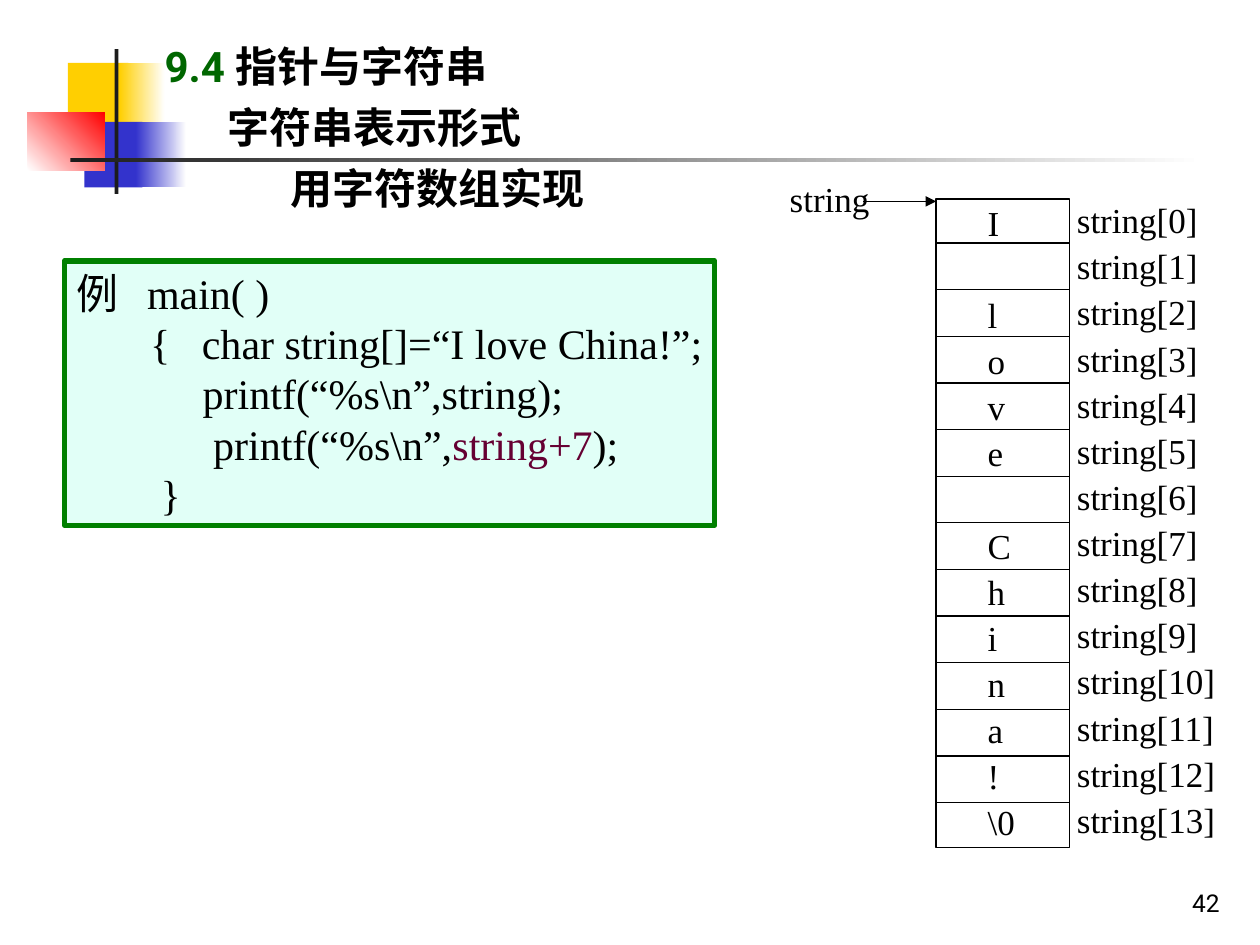
from lxml.etree import SubElement
from pptx import Presentation
from pptx.dml.color import RGBColor
from pptx.enum.shapes import MSO_CONNECTOR, MSO_SHAPE
from pptx.enum.text import MSO_ANCHOR, PP_ALIGN
from pptx.oxml.ns import qn
from pptx.util import Cm, Pt

BLACK = RGBColor(0x00, 0x00, 0x00)
WHITE = RGBColor(0xFF, 0xFF, 0xFF)
YELLOW = RGBColor(0xFF, 0xCF, 0x01)
BLUE = RGBColor(0x33, 0x33, 0xCC)
RED = RGBColor(0xFF, 0x00, 0x00)
CHARCOAL = RGBColor(0x1C, 0x1C, 0x1C)
DARK_GREEN = RGBColor(0x00, 0x66, 0x00)
GREEN = RGBColor(0x00, 0x80, 0x00)
MINT = RGBColor(0xE1, 0xFF, 0xF7)
MAROON = RGBColor(0x66, 0x00, 0x33)
SERIF, SANS = "Times New Roman", "Roboto"

prs = Presentation()
prs.slide_width, prs.slide_height = Cm(25.4), Cm(19.05)
slide = prs.slides.add_slide(prs.slide_layouts[6])
shapes = slide.shapes


def add_label(text, left, top, width, height=1.12, size=20, font=SERIF):
    box = shapes.add_textbox(Cm(left), Cm(top), Cm(width), Cm(height))
    box.text_frame.word_wrap = True
    paragraph = box.text_frame.paragraphs[0]
    paragraph.text = text
    paragraph.font.size = Pt(size)
    paragraph.font.name = font
    paragraph.font.color.rgb = BLACK
    return box


def add_rule(x1, y1, x2, y2):
    rule = shapes.add_connector(MSO_CONNECTOR.STRAIGHT, Cm(x1), Cm(y1), Cm(x2), Cm(y2))
    rule.line.color.rgb = BLACK
    rule.line.width = Pt(0.75)
    properties = rule._element.spPr
    SubElement(properties, qn("a:effectLst"))
    return rule


# Corner ornament: left, top, width, height, start colour, end colour, angle
ornament = [
    (1.37, 1.27, 1.22, 1.32, YELLOW, None, 0),
    (2.41, 1.27, 0.91, 1.32, YELLOW, WHITE, 0),
    (1.70, 2.46, 1.17, 1.32, BLUE, None, 0),
    (2.74, 2.46, 1.02, 1.32, BLUE, WHITE, 0),
    (0.56, 2.26, 1.55, 1.17, WHITE, RED, 45),
    (2.31, 0.99, 0.08, 2.92, CHARCOAL, None, 0),
    (1.42, 3.18, 22.86, 0.08, CHARCOAL, WHITE, 0),
]
for left, top, width, height, start, end, angle in ornament:
    block = shapes.add_shape(MSO_SHAPE.RECTANGLE, Cm(left), Cm(top), Cm(width), Cm(height))
    block.shadow.inherit = False
    block.line.fill.background()
    if end is None:
        block.fill.solid()
        block.fill.fore_color.rgb = start
    else:
        block.fill.gradient()
        block.fill.gradient_angle = angle
        for stop, color in zip(block.fill.gradient_stops, (start, end)):
            stop.color.rgb = color

# Headings, each level further in
heading = shapes.add_textbox(Cm(3.07), Cm(0.69), Cm(19.46), Cm(4.19)).text_frame
heading.word_wrap = True
heading_levels = [
    [("9.4 ", DARK_GREEN), ("指针与字符串", BLACK)],
    [("字符串表示形式", BLACK)],
    [("用字符数组实现", BLACK)],
]
for level, parts in enumerate(heading_levels):
    paragraph = heading.paragraphs[0] if level == 0 else heading.add_paragraph()
    paragraph.level = level
    paragraph._p.get_or_add_pPr().set("marL", str(Cm(1.27 * level)))
    if level:
        paragraph.space_before = Pt(6)
    paragraph.font.name = SANS
    paragraph.font.size = Pt(24)
    paragraph.font.bold = True
    for text, color in parts:
        run = paragraph.add_run()
        run.text = text
        run.font.color.rgb = color

# Program listing
listing = shapes.add_shape(MSO_SHAPE.RECTANGLE, Cm(1.3), Cm(5.26), Cm(13.11), Cm(5.33))
listing.shadow.inherit = False
listing.fill.solid()
listing.fill.fore_color.rgb = MINT
listing.line.color.rgb = GREEN
listing.line.width = Pt(3)
code = listing.text_frame
code.word_wrap = False
code.vertical_anchor = MSO_ANCHOR.TOP
code_lines = [
    [("例   main( )", BLACK)],
    [("       {   char string[]=“I love China!”;", BLACK)],
    [("            printf(“%s\\n”,string);", BLACK)],
    [("             printf(“%s\\n”,", BLACK), ("string+7", MAROON), (");", BLACK)],
    [("        }", BLACK)],
]
for number, parts in enumerate(code_lines):
    paragraph = code.paragraphs[0] if number == 0 else code.add_paragraph()
    paragraph.alignment = PP_ALIGN.LEFT
    paragraph.font.name = SERIF
    paragraph.font.size = Pt(24)
    for text, color in parts:
        run = paragraph.add_run()
        run.text = text
        run.font.color.rgb = color

# Memory cells holding the string
CELLS_LEFT, CELLS_TOP, CELLS_WIDTH = 18.87, 4.01, 2.69
cells = shapes.add_shape(MSO_SHAPE.RECTANGLE, Cm(CELLS_LEFT), Cm(CELLS_TOP),
                         Cm(CELLS_WIDTH), Cm(13.08))
cells.shadow.inherit = False
cells.fill.background()
cells.line.color.rgb = BLACK
cells.line.width = Pt(0.75)

characters = [*"I love China!", "\\0"]
for index, character in enumerate(characters):
    if index:
        divider_y = 4.9 + 0.94 * (index - 1)
        add_rule(CELLS_LEFT, divider_y, CELLS_LEFT + CELLS_WIDTH, divider_y)
    if character != " ":
        add_label(character, 19.66, 3.93 + 0.93 * index, 1.3)
    add_label(f"string[{index}]", 21.46, 3.88 + 0.93 * index, 3.5)

# Pointer to the first cell
add_label("string", 15.67, 3.45, 2.3)
pointer = add_rule(17.4, 4.06, CELLS_LEFT, 4.06)
SubElement(pointer.line._get_or_add_ln(), qn("a:tailEnd"), type="triangle")

page_number = add_label("42", 19.56, 17.35, 5.28, 1.27, 14, SANS).text_frame
page_number.vertical_anchor = MSO_ANCHOR.BOTTOM
page_number.paragraphs[0].alignment = PP_ALIGN.RIGHT

prs.save("out.pptx")
